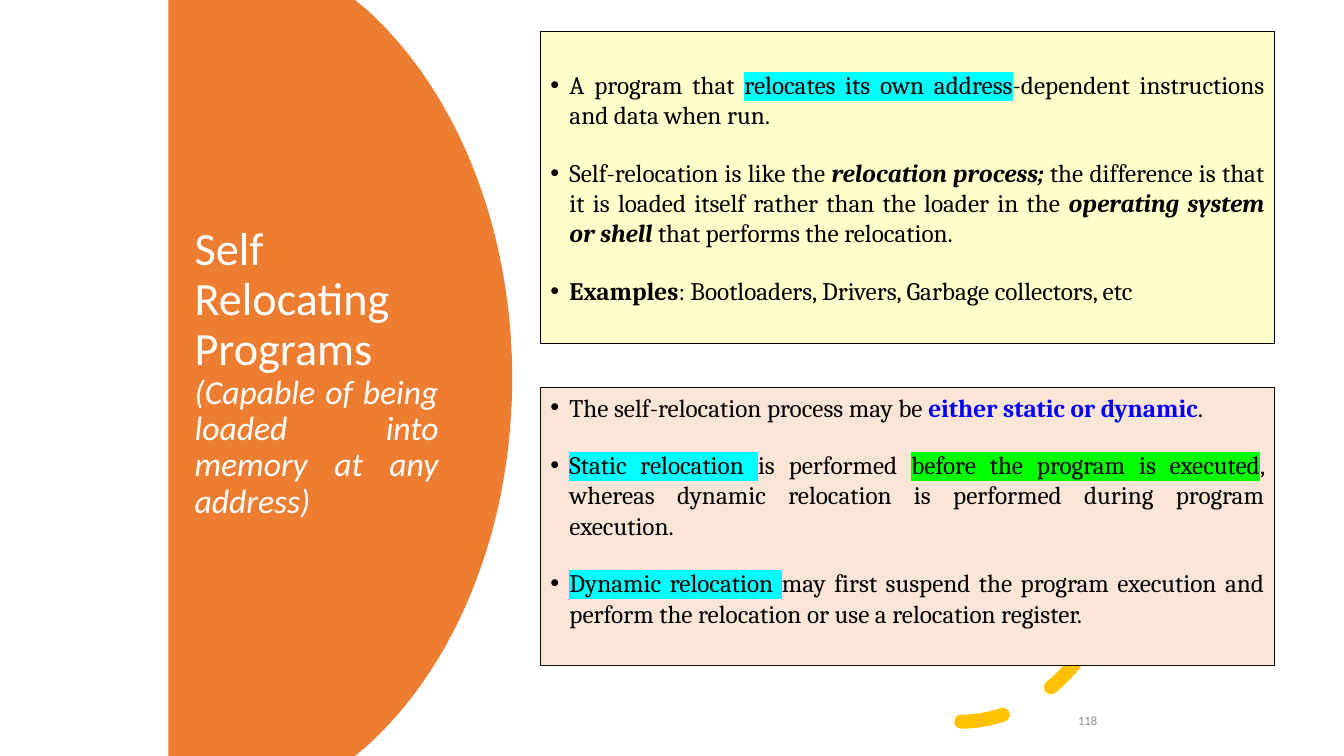
from dataclasses import dataclass
from typing import Optional

from lxml.etree import SubElement
from pptx import Presentation
from pptx.dml.color import RGBColor
from pptx.enum.dml import MSO_LINE
from pptx.enum.shapes import MSO_SHAPE as Shape
from pptx.enum.text import MSO_ANCHOR as Anchor, PP_ALIGN as Align
from pptx.oxml.ns import qn
from pptx.util import Inches, Pt

WHITE = RGBColor(0xFF, 0xFF, 0xFF)
BLACK = RGBColor(0x00, 0x00, 0x00)
NEAR_BLACK = RGBColor(0x0D, 0x0D, 0x0D)
ORANGE = RGBColor(0xED, 0x7D, 0x31)
GOLD = RGBColor(0xFF, 0xC0, 0x00)
CREAM = RGBColor(0xFF, 0xFF, 0xCC)
PEACH = RGBColor(0xFB, 0xE5, 0xD6)
GREY = RGBColor(0x8C, 0x8C, 0x8C)
BLUE = RGBColor(0x00, 0x00, 0xFF)
CYAN = RGBColor(0x00, 0xFF, 0xFF)
GREEN = RGBColor(0x00, 0xFF, 0x00)

SLIDE_W, SLIDE_H = Inches(13.33), Inches(7.5)
BOX_LEFT, BOX_WIDTH = 40.21, 54.61
INDENT = Inches(0.19)
CURVE_STEPS = 40


@dataclass(frozen=True)
class Area:
    """Left, top, width and height in percent of the slide."""
    left: float
    top: float
    width: float
    height: float

    def emu(self) -> tuple[int, int, int, int]:
        return (across(self.left), down(self.top),
                across(self.width), down(self.height))


@dataclass(frozen=True)
class Span:
    text: str
    size: float = 18
    font: str = "Cambria"
    color: RGBColor = BLACK
    bold: bool = False
    italic: bool = False
    highlight: Optional[RGBColor] = None


@dataclass(frozen=True)
class Panel:
    area: Area
    fill: RGBColor
    line: RGBColor
    anchor: Anchor
    bullets: list[list[Span]]


TITLE = [
    Span("Self Relocating Programs ", 33, "Calibri", WHITE),
    Span("(Capable of being loaded into memory at any address)",
         24, "Calibri", WHITE, italic=True),
]

PANELS = [
    Panel(Area(BOX_LEFT, 4.13, BOX_WIDTH, 41.33), CREAM, BLACK, Anchor.MIDDLE, [
        [Span("A program that "),
         Span("relocates its own address", highlight=CYAN),
         Span("-dependent instructions and data when run.")],
        [Span("Self-relocation is like the "),
         Span("relocation process; ", bold=True, italic=True),
         Span("the difference is that it is loaded itself rather than "
              "the loader in the "),
         Span("operating system or shell", bold=True, italic=True),
         Span(" that performs the relocation.")],
        [Span("Examples", bold=True),
         Span(": Bootloaders, Drivers, Garbage collectors, etc")],
    ]),
    Panel(Area(BOX_LEFT, 51.2, BOX_WIDTH, 36.8), PEACH, NEAR_BLACK, Anchor.TOP, [
        [Span("The self-relocation process may be "),
         Span("either static or dynamic", color=BLUE, bold=True),
         Span(".")],
        [Span("Static relocation ", highlight=CYAN),
         Span("is performed "),
         Span("before the program is executed", highlight=GREEN),
         Span(", whereas dynamic relocation is performed during program "
              "execution.")],
        [Span("Dynamic relocation ", highlight=CYAN),
         Span("may first suspend the program execution and perform the "
              "relocation or use a relocation register.")],
    ]),
]


def across(percent: float) -> int:
    return round(SLIDE_W * percent / 100)


def down(percent: float) -> int:
    return round(SLIDE_H * percent / 100)


def add_spans(p, spans: list[Span]) -> None:
    for span in spans:
        r = p.add_run()
        r.text = span.text
        font = r.font
        font.size, font.name = Pt(span.size), span.font
        font.bold, font.italic = span.bold, span.italic
        font.color.rgb = span.color
        if span.highlight is not None:
            rPr = r._r.get_or_add_rPr()
            mark = SubElement(rPr, qn("a:highlight"))
            SubElement(mark, qn("a:srgbClr")).set("val", str(span.highlight))
            rPr.find(qn("a:solidFill")).addnext(mark)


def add_bullet(p) -> None:
    pPr = p._p.get_or_add_pPr()
    pPr.set("marL", str(INDENT))
    pPr.set("indent", str(-INDENT))
    SubElement(pPr, qn("a:buFont")).set("typeface", "Arial")
    SubElement(pPr, qn("a:buChar")).set("char", "•")


def add_panel(s, panel: Panel) -> None:
    sp = s.shapes.add_shape(Shape.RECTANGLE, *panel.area.emu())
    sp.shadow.inherit = False
    sp.fill.solid()
    sp.fill.fore_color.rgb = panel.fill
    sp.line.color.rgb = panel.line
    sp.line.width = Pt(0.75)
    tf = sp.text_frame
    tf.word_wrap = True
    tf.vertical_anchor = panel.anchor
    for i, spans in enumerate(panel.bullets):
        p = tf.add_paragraph() if i else tf.paragraphs[0]
        add_bullet(p)
        p.alignment = Align.JUSTIFY
        p.space_before = Pt(7.5 if i else 0)
        p.space_after = Pt(12)
        add_spans(p, spans)


def bezier(a: float, b: float, c: float, d: float, t: float) -> float:
    u = 1 - t
    return u**3 * a + 3 * u**2 * t * b + 3 * u * t**2 * c + t**3 * d


def add_orange_side(s) -> None:
    # Upper half of the bulge, mirrored to make the lower half
    steps = [i / CURVE_STEPS for i in range(CURVE_STEPS + 1)]
    upper = [(3.52, 0)] + [(bezier(3.63, 4.51, 5.08, 5.08, t),
                            bezier(0.09, 0.88, 2.23, 3.75, t)) for t in steps]
    lower = [(x, 7.5 - y) for x, y in reversed(upper[:-1])]
    outline = upper + lower + [(1.67, 7.5)]
    builder = s.shapes.build_freeform(Inches(1.67), 0)
    builder.add_line_segments([(Inches(x), Inches(y)) for x, y in outline])
    sp = builder.convert_to_shape()
    sp.shadow.inherit = False
    sp.fill.solid()
    sp.fill.fore_color.rgb = ORANGE
    sp.line.fill.background()


def add_dashed_arc(s) -> None:
    sp = s.shapes.add_shape(Shape.ARC, *Area(58.96, 35.87, 25.13, 59.6).emu())
    sp.shadow.inherit = False
    sp.fill.background()
    sp.line.color.rgb = GOLD
    sp.line.width = Pt(10)
    sp.line.dash_style = MSO_LINE.DASH
    sp.line._get_or_add_ln().set("cap", "rnd")
    sp._element.spPr.find(qn("a:xfrm")).set("flipV", "1")


def set_title(s) -> None:
    title = s.shapes.title
    title.left, title.top, title.width, title.height = Area(
        13.73, 16.8, 19.65, 65.07).emu()
    s.shapes._spTree.append(title._element)  # bring in front of the orange side
    tf = title.text_frame
    tf.word_wrap = True
    tf.vertical_anchor = Anchor.MIDDLE
    p = tf.paragraphs[0]
    p.alignment = Align.JUSTIFY
    p.line_spacing = 0.9
    add_spans(p, TITLE)


def add_slide_number(s) -> None:
    tf = s.shapes.add_textbox(*Area(71.19, 92.67, 11.18, 5.33).emu()).text_frame
    tf.word_wrap = True
    tf.vertical_anchor = Anchor.MIDDLE
    p = tf.paragraphs[0]
    p.alignment = Align.RIGHT
    p.space_after = Pt(6)
    add_spans(p, [Span("118", 9, "Calibri", GREY)])


def main() -> None:
    prs = Presentation()
    prs.slide_width, prs.slide_height = SLIDE_W, SLIDE_H
    s = prs.slides.add_slide(prs.slide_layouts[5])
    add_orange_side(s)
    set_title(s)
    add_dashed_arc(s)
    for panel in PANELS:
        add_panel(s, panel)
    add_slide_number(s)
    prs.save("out.pptx")


if __name__ == "__main__":
    main()
